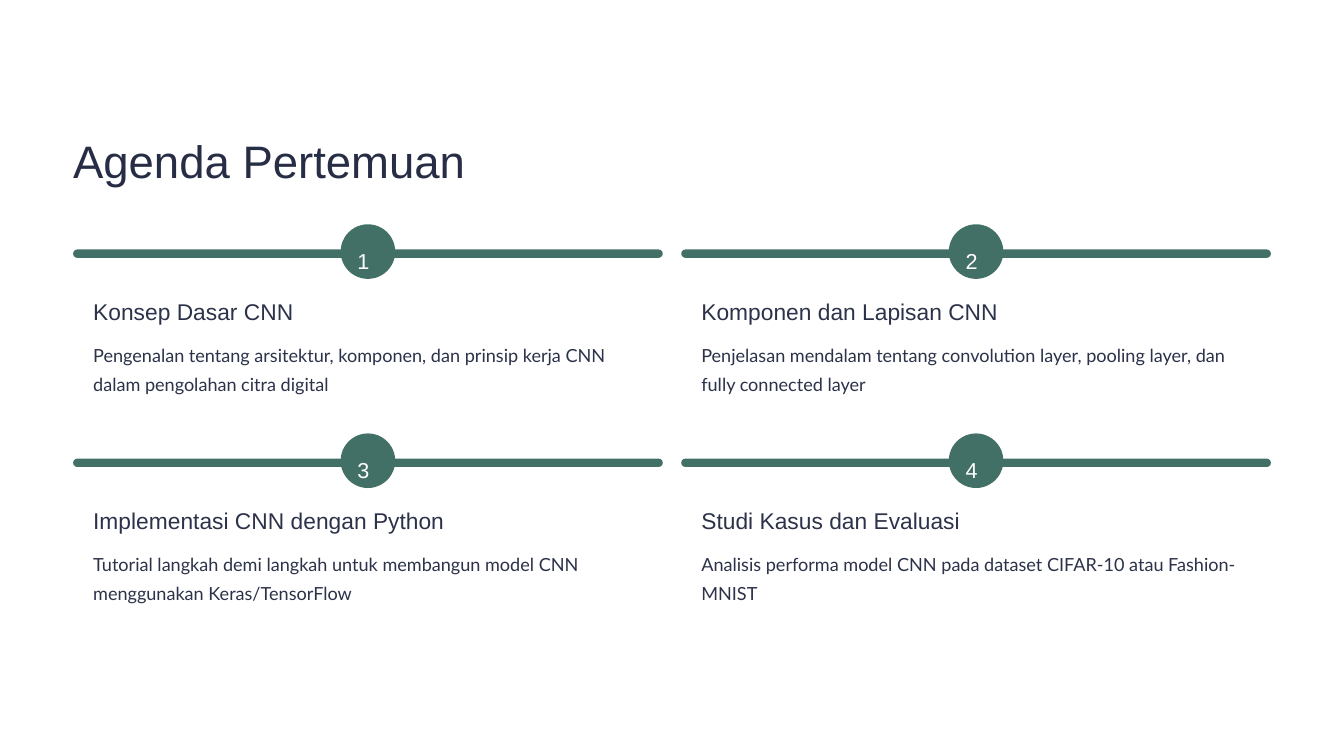
from dataclasses import dataclass

from pptx import Presentation
from pptx.dml.color import RGBColor
from pptx.enum.shapes import MSO_SHAPE
from pptx.enum.text import MSO_ANCHOR, PP_ALIGN
from pptx.util import Inches, Pt

ROUNDED = MSO_SHAPE.ROUNDED_RECTANGLE
TOP = MSO_ANCHOR.TOP
LEFT = PP_ALIGN.LEFT

TITLE = "Agenda Pertemuan"
TOPICS = [
    ("Konsep Dasar CNN",
     "Pengenalan tentang arsitektur, komponen, dan prinsip kerja CNN "
     "dalam pengolahan citra digital"),
    ("Komponen dan Lapisan CNN",
     "Penjelasan mendalam tentang convolution layer, pooling layer, dan "
     "fully connected layer"),
    ("Implementasi CNN dengan Python",
     "Tutorial langkah demi langkah untuk membangun model CNN "
     "menggunakan Keras/TensorFlow"),
    ("Studi Kasus dan Evaluasi",
     "Analisis performa model CNN pada dataset CIFAR-10 atau Fashion-MNIST"),
]


@dataclass(frozen=True)
class Theme:
    white: str = "FFFFFF"
    green: str = "437066"
    title_ink: str = "272D45"
    ink: str = "2C3249"
    head_font: str = "Arial"
    body_font: str = "Lato"
    title_size: float = 39
    heading_size: float = 19.5
    number_size: float = 18.5
    body_size: float = 15.5


THEME = Theme()

# Card grid, in inches
COLUMNS = 2
GRID_X, GRID_Y = 0.87, 3
STEP_X, STEP_Y = 7.24, 2.49
CARD_W, CARD_H = 7.02, 1.95
BAR_H = 0.1
BADGE = 0.65
PAD = 0.24


def write(s, text, *, size, color, line, font=THEME.head_font):
    """Fill a text shape with one left-aligned paragraph and no insets."""
    tf = s.text_frame
    tf.word_wrap = True
    tf.vertical_anchor = TOP
    tf.margin_left = tf.margin_right = tf.margin_top = tf.margin_bottom = 0
    p = tf.paragraphs[0]
    p.alignment = LEFT
    p.line_spacing = Pt(line)
    r = p.add_run()
    r.text = text
    r.font.name = font
    r.font.size = Pt(size)
    r.font.color.rgb = RGBColor.from_string(color)


def add_text(sp, x, y, w, h, text, **fmt):
    write(sp.add_textbox(Inches(x), Inches(y), Inches(w), Inches(h)), text, **fmt)


def add_rounded(sp, x, y, w, h, color, corner=0.5):
    s = sp.add_shape(ROUNDED, Inches(x), Inches(y), Inches(w), Inches(h))
    s.adjustments[0] = corner
    s.shadow.inherit = False
    s.fill.solid()
    s.fill.fore_color.rgb = RGBColor.from_string(color)
    s.line.fill.background()


def add_topic(sp, x, y, number, heading, body):
    text_x, text_w = x + PAD, CARD_W - 2 * PAD
    badge_x = x + (CARD_W - BADGE) / 2

    add_rounded(sp, x, y, CARD_W, CARD_H, THEME.white, corner=0.06)
    add_rounded(sp, x, y - 0.03, CARD_W, BAR_H, THEME.green)
    add_rounded(sp, badge_x, y - 0.33, BADGE, BADGE, THEME.green)
    add_text(sp, badge_x + 0.2, y - 0.16, 0.26, 0.33, str(number),
             size=THEME.number_size, color=THEME.white, line=30)
    add_text(sp, text_x, y + 0.54, text_w, 0.34, heading,
             size=THEME.heading_size, color=THEME.ink, line=24)
    add_text(sp, text_x, y + 1.01, text_w, 0.69, body,
             size=THEME.body_size, color=THEME.ink, line=25, font=THEME.body_font)


def main():
    prs = Presentation()
    prs.slide_width, prs.slide_height = Inches(16), Inches(9)
    slide = prs.slides.add_slide(prs.slide_layouts[5])
    slide.background.fill.solid()
    slide.background.fill.fore_color.rgb = RGBColor.from_string(THEME.white)

    title = slide.shapes.title
    title.left, title.top = Inches(GRID_X), Inches(1.56)
    title.width, title.height = Inches(5.43), Inches(0.68)
    write(title, TITLE, size=THEME.title_size, color=THEME.title_ink, line=48.5)

    for i, (heading, body) in enumerate(TOPICS):
        row, col = divmod(i, COLUMNS)
        add_topic(slide.shapes, GRID_X + col * STEP_X, GRID_Y + row * STEP_Y,
                  i + 1, heading, body)

    prs.save("out.pptx")


if __name__ == "__main__":
    main()
